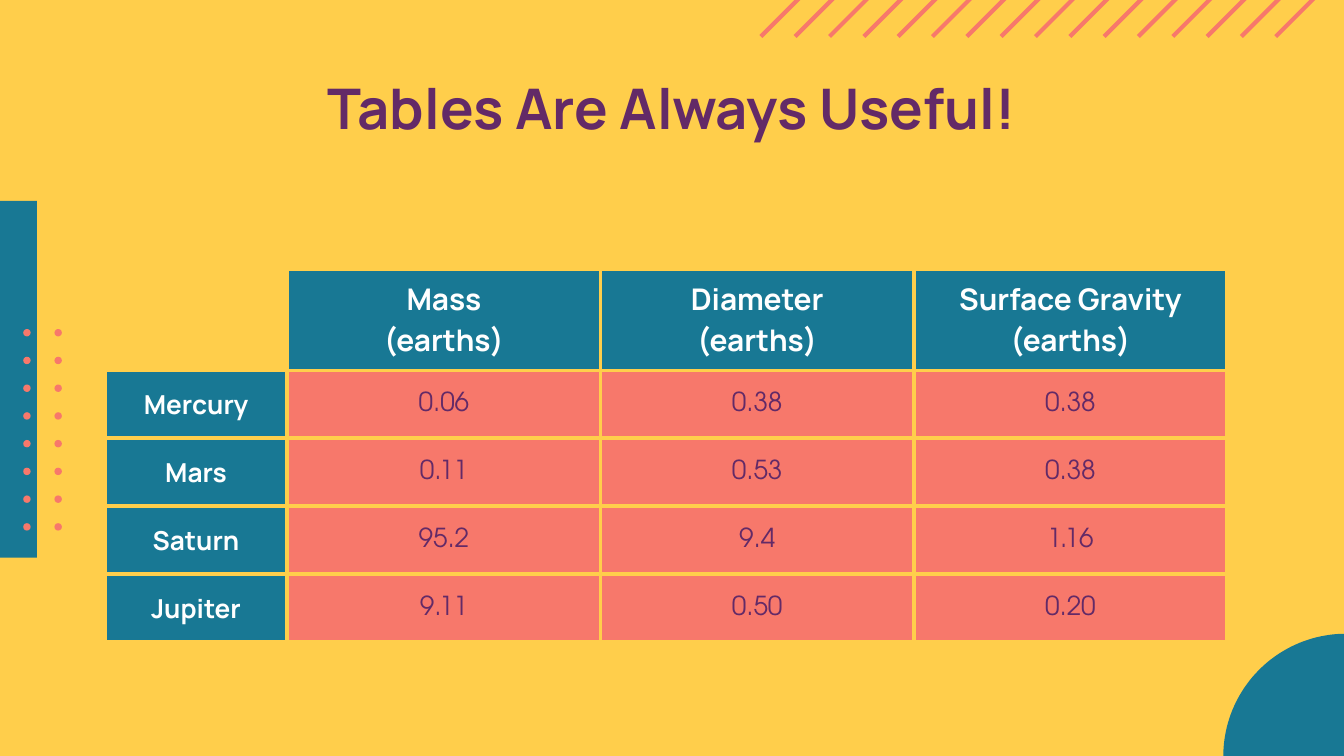
import math

import lxml.etree
import pptx
import pptx.dml.color
import pptx.enum.shapes
import pptx.enum.text
import pptx.oxml.ns
import pptx.util

Cm = pptx.util.Cm
Pt = pptx.util.Pt
RGBColor = pptx.dml.color.RGBColor

YELLOW = RGBColor(0xFF, 0xCE, 0x4B)
CORAL = RGBColor(0xF7, 0x78, 0x6B)
TEAL = RGBColor(0x18, 0x78, 0x94)
PURPLE = RGBColor(0x63, 0x2A, 0x67)
WHITE = RGBColor(0xFF, 0xFF, 0xFF)

HEADING_FONT = "Manrope"
BODY_FONT = "TeX Gyre Adventor"

PLANET_ROWS = [
    ["", "Mass\n(earths)", "Diameter\n(earths)", "Surface Gravity\n(earths)"],
    ["Mercury", "0.06", "0.38", "0.38"],
    ["Mars", "0.11", "0.53", "0.38"],
    ["Saturn", "95.2", "9.4", "1.16"],
    ["Jupiter", "9.11", "0.50", "0.20"],
]


def style_paragraphs(text_frame, size, font_name, color, bold):
    for paragraph in text_frame.paragraphs:
        paragraph.alignment = pptx.enum.text.PP_ALIGN.CENTER
        paragraph.font.size = Pt(size)
        paragraph.font.name = font_name
        paragraph.font.color.rgb = color
        paragraph.font.bold = bold


def fill_plain(shape, color):
    shape.shadow.inherit = False
    shape.fill.solid()
    shape.fill.fore_color.rgb = color
    shape.line.fill.background()


def add_stripes(slide, left, top, width, height, count=16):
    """Diagonal lines at 45 degrees, evenly spread over the box."""
    step = (width - height) / (count - 1)
    for index in range(count):
        start = round(left + index * step)
        stripe = slide.shapes.add_connector(
            pptx.enum.shapes.MSO_CONNECTOR.STRAIGHT,
            start, top + height, start + height, top)
        stripe.line.color.rgb = CORAL
        stripe.line.width = Pt(2.25)
        properties = stripe.element.spPr
        lxml.etree.SubElement(properties, pptx.oxml.ns.qn("a:effectLst"))


def add_side_bar(slide, left, top, width, height):
    bar = slide.shapes.add_shape(
        pptx.enum.shapes.MSO_SHAPE.RECTANGLE, left, top, width, height)
    fill_plain(bar, TEAL)


def add_dots(slide, left, top, width, height, columns=2, rows=8):
    """Grid of small dots whose outer edges touch the box."""
    size = Cm(0.14)
    for column in range(columns):
        for row in range(rows):
            dot = slide.shapes.add_shape(
                pptx.enum.shapes.MSO_SHAPE.OVAL,
                round(left + column * (width - size) / (columns - 1)),
                round(top + row * (height - size) / (rows - 1)),
                size, size)
            fill_plain(dot, CORAL)


def add_half_disc(slide, left, top, width, height, steps=90):
    """Upper half of an ellipse standing on the bottom of the box."""
    points = []
    for index in range(steps + 1):
        angle = math.pi * index / steps
        points.append((left + width / 2 * (1 - math.cos(angle)),
                       top + height * (1 - math.sin(angle))))
    builder = slide.shapes.build_freeform(*points[0])
    builder.add_line_segments(points[1:], close=True)
    fill_plain(builder.convert_to_shape(), TEAL)


def add_title(slide, left, top, width, height):
    title = slide.shapes.add_textbox(left, top, width, height)
    frame = title.text_frame
    frame.word_wrap = True
    frame.margin_left = frame.margin_right = Cm(0.25)
    frame.margin_top = frame.margin_bottom = Cm(0.25)
    frame.text = "Tables Are Always Useful!"
    style_paragraphs(frame, 30, HEADING_FONT, PURPLE, True)


def set_borders(cell, color, width):
    properties = cell._tc.get_or_add_tcPr()
    for position, side in enumerate(("a:lnL", "a:lnR", "a:lnT", "a:lnB")):
        border = lxml.etree.Element(pptx.oxml.ns.qn(side), w=str(width))
        fill = lxml.etree.SubElement(border, pptx.oxml.ns.qn("a:solidFill"))
        lxml.etree.SubElement(
            fill, pptx.oxml.ns.qn("a:srgbClr"), val=str(color))
        properties.insert(position, border)  # borders come before the fill


def add_planet_table(slide, left, top, width, height):
    row_count, column_count = len(PLANET_ROWS), len(PLANET_ROWS[0])
    table = slide.shapes.add_table(
        row_count, column_count, left, top, width, height).table
    table.first_row = table.horz_banding = False

    # The first column and the header row have their own sizes
    name_width, header_height = Cm(3.45), Cm(1.92)
    for index, column in enumerate(table.columns):
        column.width = (round((width - name_width) / (column_count - 1))
                        if index else name_width)
    for index, row in enumerate(table.rows):
        row.height = (round((height - header_height) / (row_count - 1))
                      if index else header_height)

    for row_index, texts in enumerate(PLANET_ROWS):
        for column_index, text in enumerate(texts):
            cell = table.cell(row_index, column_index)
            cell.vertical_anchor = pptx.enum.text.MSO_ANCHOR.MIDDLE
            cell.margin_left = cell.margin_right = Cm(0.25)
            cell.margin_top = cell.margin_bottom = Cm(0.18)
            cell.text = text
            is_value = row_index > 0 and column_index > 0
            if is_value:
                style_paragraphs(cell.text_frame, 14, BODY_FONT, PURPLE, False)
            else:
                size = 14 if row_index else 16
                style_paragraphs(
                    cell.text_frame, size, HEADING_FONT, WHITE, True)
            if text:
                cell.fill.solid()
                cell.fill.fore_color.rgb = CORAL if is_value else TEAL
            else:
                cell.fill.background()
            set_borders(cell, YELLOW, Pt(2.25))


def main():
    presentation = pptx.Presentation()
    presentation.slide_width = Cm(25.4)
    presentation.slide_height = Cm(14.29)
    slide = presentation.slides.add_slide(presentation.slide_layouts[6])
    slide.background.fill.solid()
    slide.background.fill.fore_color.rgb = YELLOW

    # Decoration
    add_stripes(slide, Cm(14.38), Cm(-0.61), Cm(11.03), Cm(1.3))
    add_side_bar(slide, Cm(-1.03), Cm(3.8), Cm(1.73), Cm(6.74))
    add_dots(slide, Cm(0.44), Cm(6.22), Cm(0.73), Cm(3.81))
    add_half_disc(slide, Cm(23.12), Cm(11.98), Cm(4.64), Cm(2.32))

    # Content
    add_planet_table(slide, Cm(1.98), Cm(5.08), Cm(21.21), Cm(7.06))
    add_title(slide, Cm(2), Cm(1.14), Cm(21.4), Cm(2.26))

    presentation.save("out.pptx")


if __name__ == "__main__":
    main()
